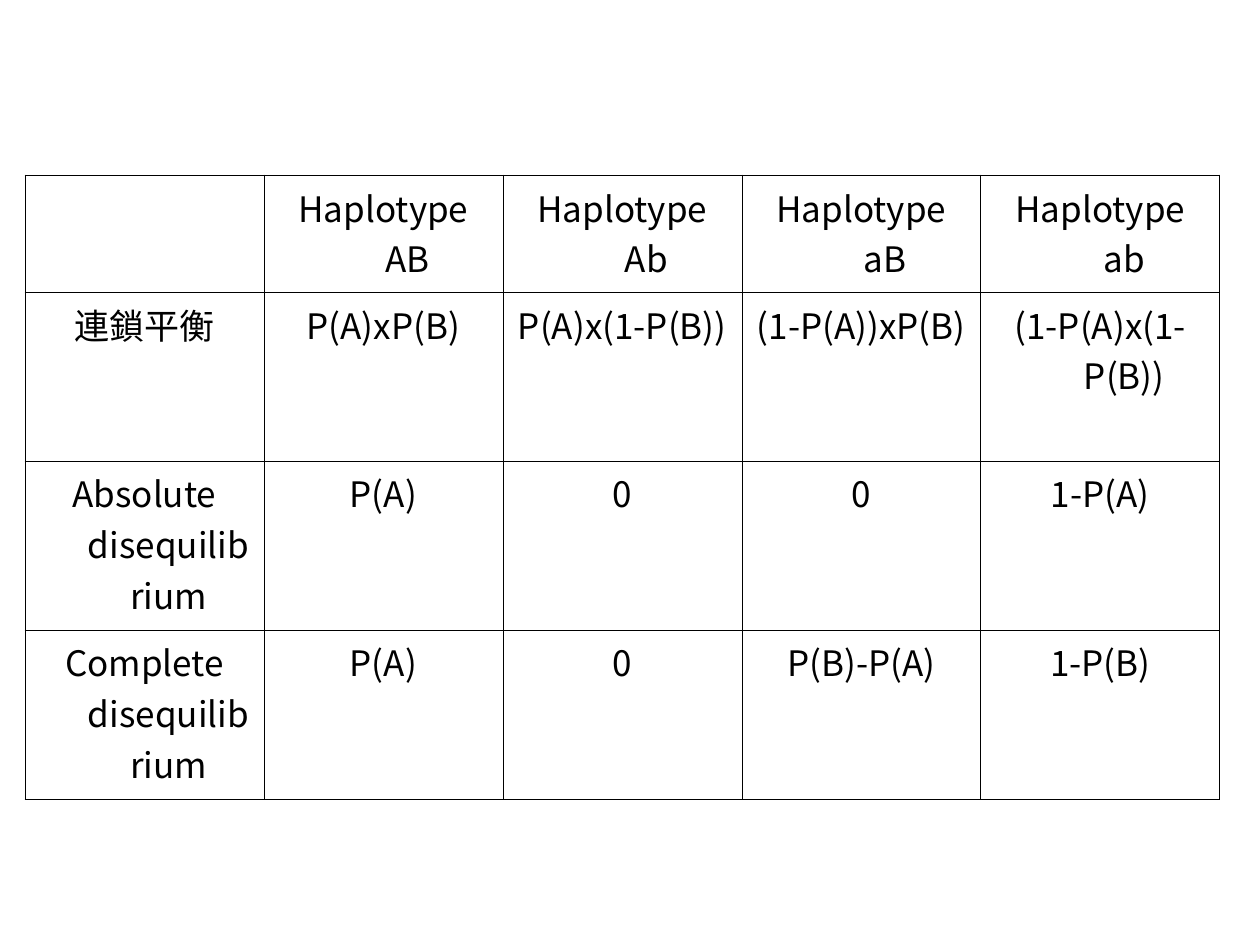
from lxml import etree
from pptx import Presentation
from pptx.dml.color import RGBColor
from pptx.enum.text import PP_ALIGN
from pptx.oxml.ns import qn
from pptx.util import Emu, Pt

PX_PER_INCH = 126
EMU_PER_PX = 914400 / PX_PER_INCH
BLACK = RGBColor(0x00, 0x00, 0x00)
CENTER = PP_ALIGN.CENTER

HAPLOTYPE_FREQUENCIES = [
    ["", "Haplotype AB", "Haplotype Ab", "Haplotype aB", "Haplotype ab"],
    ["連鎖平衡", "P(A)xP(B)", "P(A)x(1-P(B))", "(1-P(A))xP(B)", "(1-P(A)x(1-P(B))"],
    ["Absolute disequilibrium", "P(A)", "0", "0", "1-P(A)"],
    ["Complete disequilibrium", "P(A)", "0", "P(B)-P(A)", "1-P(B)"],
]


def px(length):
    return Emu(round(length * EMU_PER_PX))


class SlideBuilder:
    font_name = "Noto Sans CJK JP"
    font_size = Pt(20)
    border_width = Pt(0.45)
    hanging_indent = px(48)
    tab_count = 8

    def __init__(self, slide):
        self.slide = slide

    def table(self, left, top, column_width, row_heights, rows):
        column_count = len(rows[0])
        table = self.slide.shapes.add_table(
            len(rows), column_count, px(left), px(top),
            px(column_width * column_count), px(sum(row_heights))).table
        table.first_row = False
        table.horz_banding = False
        for column in table.columns:
            column.width = px(column_width)
        for row, height, texts in zip(table.rows, row_heights, rows):
            row.height = px(height)
            for cell, text in zip(row.cells, texts):
                self.borders(cell)
                cell.fill.background()
                if text:
                    self.cell_text(cell, text)

    def borders(self, cell):
        properties = cell._tc.get_or_add_tcPr()
        for side in ("lnL", "lnR", "lnT", "lnB"):
            line = etree.SubElement(properties, qn(f"a:{side}"), w=str(self.border_width))
            fill = etree.SubElement(line, qn("a:solidFill"))
            etree.SubElement(fill, qn("a:srgbClr"), val=str(BLACK))

    def cell_text(self, cell, text):
        paragraph = cell.text_frame.paragraphs[0]
        paragraph.alignment = CENTER

        # Hanging indent and a tab stop at every inch
        properties = paragraph._p.get_or_add_pPr()
        properties.set("marL", str(self.hanging_indent))
        properties.set("indent", str(-self.hanging_indent))
        tabs = etree.SubElement(properties, qn("a:tabLst"))
        for inch in range(self.tab_count):
            etree.SubElement(tabs, qn("a:tab"), pos=str(px(inch * PX_PER_INCH)), algn="l")

        run = paragraph.add_run()
        run.text = text
        run.font.size = self.font_size
        run.font.bold = False
        run.font.color.rgb = BLACK
        run.font.name = self.font_name
        etree.SubElement(run._r.get_or_add_rPr(), qn("a:ea"), typeface=self.font_name)


def main():
    presentation = Presentation()
    presentation.slide_width = px(1260)
    presentation.slide_height = px(945)
    builder = SlideBuilder(presentation.slides.add_slide(presentation.slide_layouts[6]))

    # Haplotype frequencies under each kind of linkage
    builder.table(25, 175, 239, [117, 169, 169, 169], HAPLOTYPE_FREQUENCIES)

    presentation.save("out.pptx")


if __name__ == "__main__":
    main()
